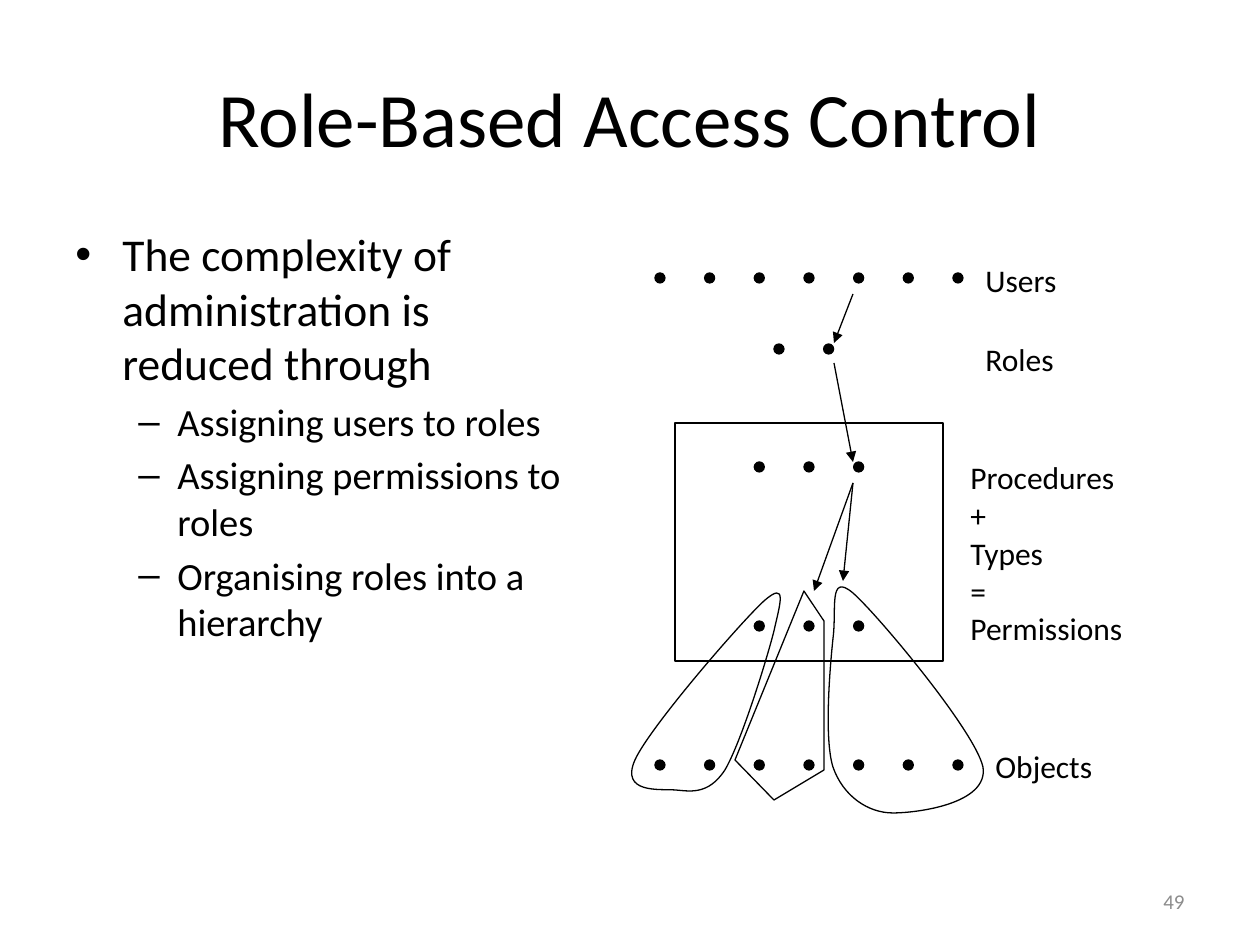
import lxml.etree
import pptx
import pptx.dml.color
import pptx.enum.shapes
import pptx.enum.text
import pptx.oxml.ns
import pptx.util

PX = 914400 / 126
COLORS = {"ink": "000000", "page_number": "8C8C8C"}
FONT = "Calibri"
DOT_SIZE = 10
DOT_PITCH = 298 / 6
ALIGN = pptx.enum.text.PP_ALIGN
ANCHOR = pptx.enum.text.MSO_ANCHOR
SHAPE = pptx.enum.shapes.MSO_SHAPE
qn = pptx.oxml.ns.qn


def emu(*lengths):
    return [pptx.util.Emu(round(length * PX)) for length in lengths]


def rgb(name):
    return pptx.dml.color.RGBColor.from_string(COLORS[name])


def add_bullet(paragraph, char, margin, hanging):
    properties = paragraph._p.get_or_add_pPr()
    properties.set("marL", str(emu(margin)[0]))
    properties.set("indent", str(-emu(hanging)[0]))
    lxml.etree.SubElement(properties, qn("a:buFont"), typeface="Arial")
    lxml.etree.SubElement(properties, qn("a:buChar"), char=char)


def format_text(paragraph, text, size=18, color="ink", align=ALIGN.LEFT,
                before=0, bullet=None, level=0):
    paragraph.level = level
    if bullet:
        add_bullet(paragraph, *bullet)
    paragraph.alignment = align
    paragraph.space_before = pptx.util.Pt(before)
    run = paragraph.add_run()
    run.text = text
    run.font.name = FONT
    run.font.size = pptx.util.Pt(size)
    run.font.color.rgb = rgb(color)


def add_text(slide, box, lines, anchor=ANCHOR.TOP, **style):
    frame = slide.shapes.add_textbox(*emu(*box)).text_frame
    frame.word_wrap = True
    frame.vertical_anchor = anchor
    for index, (text, extra) in enumerate(lines):
        paragraph = frame.add_paragraph() if index else frame.paragraphs[0]
        format_text(paragraph, text, **{**style, **extra})


def outline(shape, fill=None):
    shape.shadow.inherit = False
    if fill:
        shape.fill.solid()
        shape.fill.fore_color.rgb = rgb(fill)
    else:
        shape.fill.background()
    shape.line.color.rgb = rgb("ink")
    shape.line.width = pptx.util.Pt(0.75)


def add_dots(slide, left, top, count):
    for column in range(count):
        box = emu(left + column * DOT_PITCH, top, DOT_SIZE, DOT_SIZE)
        outline(slide.shapes.add_shape(SHAPE.OVAL, *box), fill="ink")


def add_arrow(slide, start, end):
    arrow = slide.shapes.add_connector(
        pptx.enum.shapes.MSO_CONNECTOR.STRAIGHT, *emu(*start, *end))
    arrow.line.color.rgb = rgb("ink")
    arrow.line.width = pptx.util.Pt(0.75)
    lxml.etree.SubElement(arrow.line._get_or_add_ln(), qn("a:tailEnd"), type="triangle")
    lxml.etree.SubElement(arrow._element.spPr, qn("a:effectLst"))


def add_group_outline(slide, origin, points, curved):
    builder = slide.shapes.build_freeform(*points[0], scale=PX)
    builder.add_line_segments(points[1:], close=True)
    group = builder.convert_to_shape(*emu(*origin))
    outline(group)
    if curved:
        segments = list(group._element.iter(qn("a:lnTo")))
        for first in range(0, len(segments), 3):
            curve = lxml.etree.Element(qn("a:cubicBezTo"))
            segments[first].addprevious(curve)
            for segment in segments[first:first + 3]:
                curve.append(segment[0])
                segment.getparent().remove(segment)


def add_title(slide, box):
    add_text(slide, box, [("Role-Based Access Control", {})],
             anchor=ANCHOR.MIDDLE, size=44, align=ALIGN.CENTER)


def add_body(slide, box):
    main = {"size": 26, "bullet": ("•", 47, 47)}
    sub = {"size": 22, "bullet": ("–", 102, 39), "level": 1, "before": 4.4}
    add_text(slide, box, [
        ("The complexity of administration is reduced through", main),
        ("Assigning users to roles", sub),
        ("Assigning permissions to roles", sub),
        ("Organising roles into a hierarchy", sub),
    ])


def add_role_diagram(slide, box):
    x, y = box[:2]
    outline(slide.shapes.add_shape(SHAPE.RECTANGLE, *emu(x + 75, y + 173, 268, 238)))

    all_columns = 55
    middle_columns = all_columns + 2 * DOT_PITCH
    for left, top, count in [
        (all_columns, 23, 7),
        (174, 94, 2),
        (middle_columns, 212, 3),
        (middle_columns, 371, 3),
        (all_columns, 510, 7),
    ]:
        add_dots(slide, x + left, y + top, count)

    for points, curved in [
        ([(164, 351), (188, 330), (180, 354), (174, 381),
          (167, 409), (141, 493), (125, 520),
          (108, 546), (89, 541), (75, 540),
          (60, 539), (20, 544), (35, 510),
          (50, 477), (141, 372), (164, 351)], True),
        ([(204, 341), (224, 371), (224, 520), (174, 550), (135, 510)], False),
        ([(233, 517), (224, 488), (230, 418), (233, 389),
          (237, 360), (228, 322), (253, 343),
          (278, 365), (375, 481), (383, 517),
          (389, 554), (317, 563), (293, 563),
          (268, 563), (243, 546), (233, 517)], True),
    ]:
        add_group_outline(slide, (x, y), points, curved)

    for start, end in [
        ((253, 44), (234, 93)),
        ((234, 113), (253, 212)),
        ((253, 233), (243, 331)),
        ((253, 233), (214, 341)),
    ]:
        add_arrow(slide, (x + start[0], y + start[1]), (x + end[0], y + end[1]))

    for left, top, width, height, lines in [
        (373, 5, 218, 50, ["Users"]),
        (373, 84, 218, 50, ["Roles"]),
        (358, 202, 208, 202, ["Procedures", "+", "Types", "=", "Permissions"]),
        (383, 491, 218, 50, ["Objects"]),
    ]:
        add_text(slide, (x + left, y + top, width, height),
                 [(line, {}) for line in lines])


def add_page_number(slide, box):
    add_text(slide, box, [("49", {})], anchor=ANCHOR.MIDDLE,
             size=12, color="page_number", align=ALIGN.RIGHT)


def main():
    deck = pptx.Presentation()
    deck.slide_width, deck.slide_height = emu(1260, 945)
    slide = deck.slides.add_slide(deck.slide_layouts[6])
    add_title(slide, (63, 38, 1134, 157))
    add_body(slide, (63, 220, 537, 624))
    add_role_diagram(slide, (600, 250, 601, 563))
    add_page_number(slide, (903, 876, 294, 50))
    deck.save("out.pptx")


if __name__ == "__main__":
    main()
